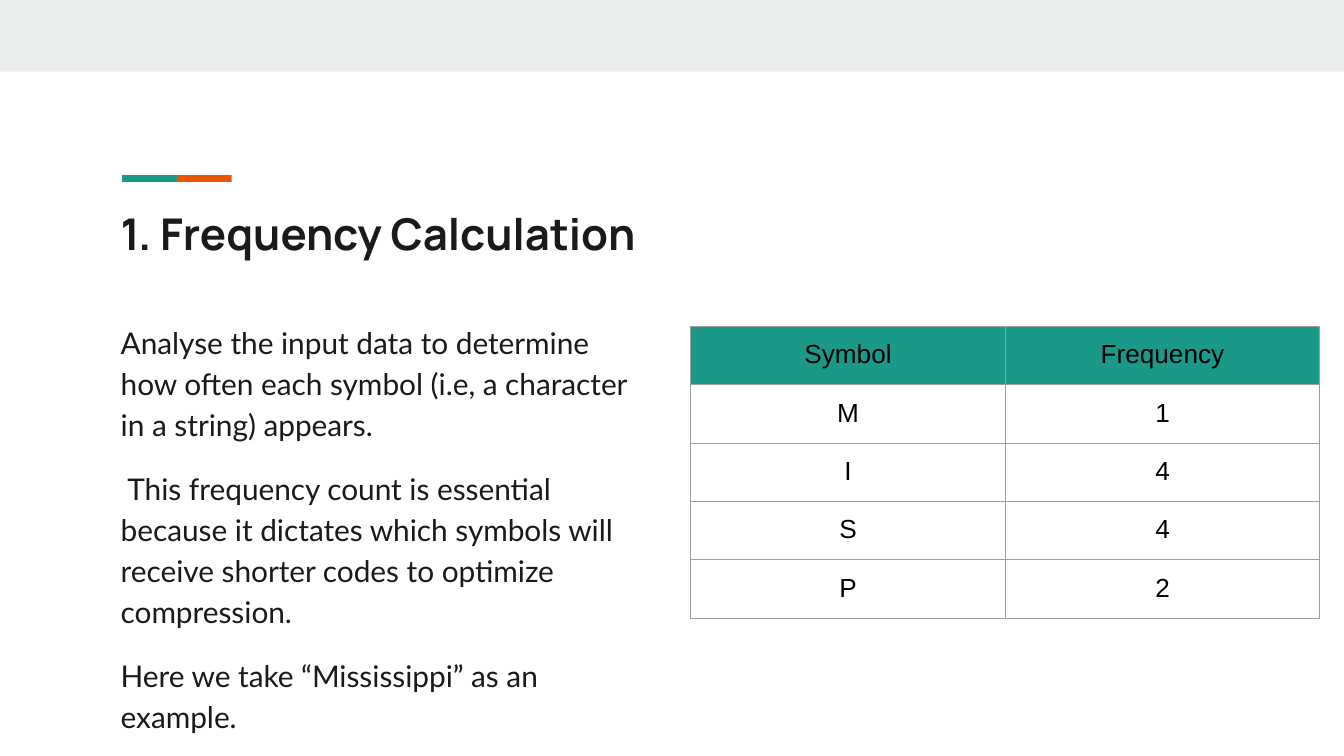
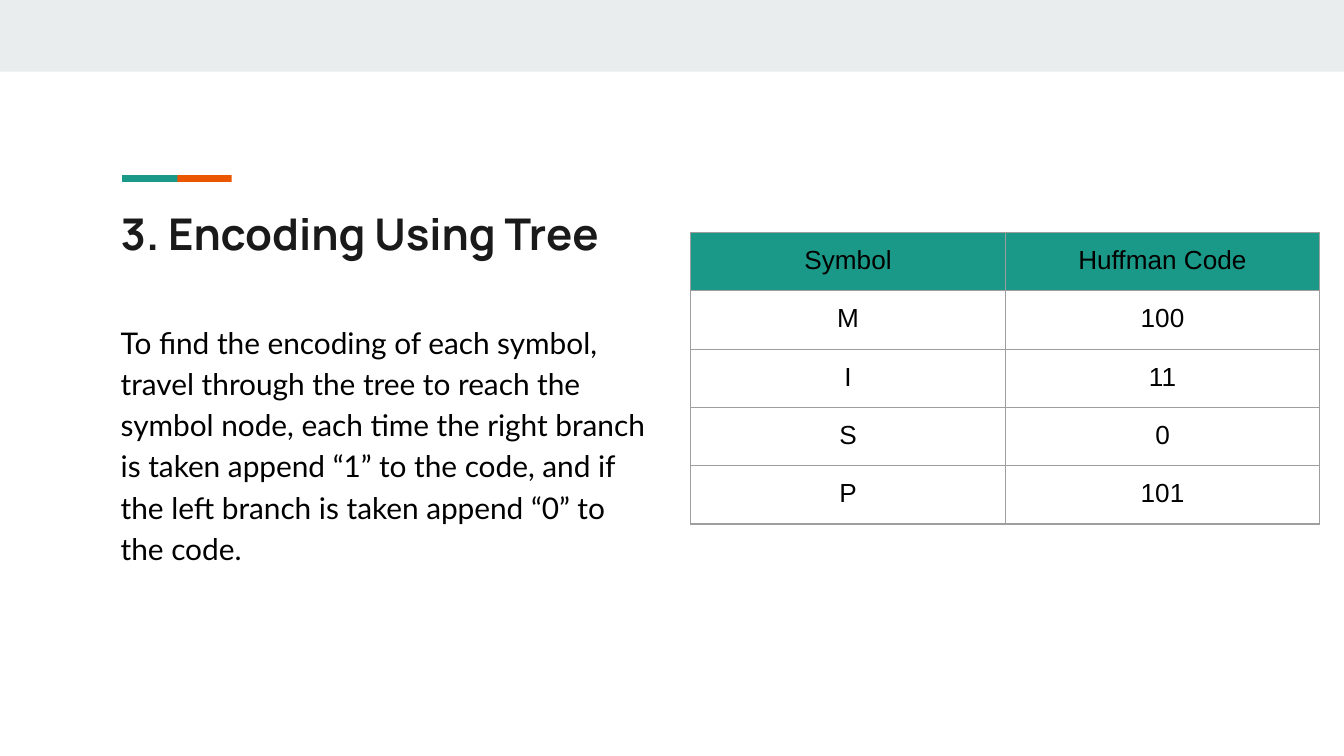
from dataclasses import dataclass

from lxml.etree import SubElement
from pptx import Presentation
from pptx.dml.color import RGBColor
from pptx.enum.shapes import MSO_SHAPE
from pptx.enum.text import MSO_ANCHOR, PP_ALIGN
from pptx.oxml.ns import qn
from pptx.util import Inches, Pt

# The slide is a grid of square cells, a tenth of an inch wide.
COLUMNS, ROWS = 100, 56.25
MARGIN = 8
TABLE_LEFT = 51.4
TABLE_COLUMN, TABLE_ROW = 23.4, 4.18
ACCENT_WIDTH, ACCENT_THICKNESS, ACCENT_BAR = 11.64, 0.28, 5.87


@dataclass(frozen=True)
class Theme:
    band: str = "E9EDEE"
    teal: str = "1A9988"
    orange: str = "EB5600"
    ink: str = "1A1A1A"
    black: str = "000000"
    border: str = "9E9E9E"
    title_font: str = "Manrope"
    body_font: str = "Lato"
    table_font: str = "Arial"
    title_size: float = 23.4
    body_size: float = 16
    table_size: float = 14
    border_width: float = 0.75


THEME = Theme()


def cells(count):
    return Inches(count / 10)


def box(left, top, width, height):
    return [cells(count) for count in (left, top, width, height)]


def style_paragraph(paragraph, font_name, size, color, bold=False):
    for run in paragraph.runs:
        run.font.name = font_name
        run.font.size = Pt(size)
        run.font.bold = bold
        run.font.color.rgb = RGBColor.from_string(color)


def add_bar(shapes, color, *place):
    bar = shapes.add_shape(MSO_SHAPE.RECTANGLE, *box(*place))
    bar.shadow.inherit = False
    bar.fill.solid()
    bar.fill.fore_color.rgb = RGBColor.from_string(color)
    bar.line.fill.background()
    return bar


def add_accent(slide):
    """Group two upright bars, turned flat, and scale the group into place."""
    group = slide.shapes.add_group_shape()
    centers = (ACCENT_WIDTH - ACCENT_BAR / 2, ACCENT_BAR / 2)
    for color, center in zip((THEME.orange, THEME.teal), centers):
        bar = add_bar(group.shapes, color, center - ACCENT_THICKNESS / 2,
                      (ACCENT_THICKNESS - ACCENT_BAR) / 2,
                      ACCENT_THICKNESS, ACCENT_BAR)
        bar.rotation = 270
    group.left, group.top, group.width, group.height = box(9.08, 13.03, 8.16, 0.5)
    transform = group._element.grpSpPr.find(qn("a:xfrm"))
    child_offset = transform.find(qn("a:chOff"))
    child_extent = transform.find(qn("a:chExt"))
    child_offset.set("x", "0")
    child_offset.set("y", "0")
    child_extent.set("cx", str(cells(ACCENT_WIDTH)))
    child_extent.set("cy", str(cells(ACCENT_THICKNESS)))


def add_text_frame(slide, *place):
    text_frame = slide.shapes.add_textbox(*box(*place)).text_frame
    text_frame.word_wrap = True
    text_frame.margin_left = text_frame.margin_right = cells(1)
    text_frame.margin_top = text_frame.margin_bottom = cells(1)
    return text_frame


def add_title(slide, title):
    text_frame = add_text_frame(slide, MARGIN, 14.4, 84.1, 5.9)
    text_frame.text = title
    style_paragraph(text_frame.paragraphs[0], THEME.title_font,
                    THEME.title_size, THEME.ink, bold=True)


def add_body(slide, texts, color):
    text_frame = add_text_frame(slide, MARGIN, 22.75, 41.3, 24.7)
    text_frame.text = "\n".join(texts)
    for paragraph in text_frame.paragraphs:
        paragraph.line_spacing = 1.15
        style_paragraph(paragraph, THEME.body_font, THEME.body_size, color)
    for paragraph in text_frame.paragraphs[1:]:
        paragraph.space_before = Pt(12)
    text_frame.paragraphs[-1].space_after = Pt(12)


def add_borders(cell):
    properties = cell._tc.get_or_add_tcPr()
    for side in ("a:lnL", "a:lnR", "a:lnT", "a:lnB"):
        line = SubElement(properties, qn(side), w=str(Pt(THEME.border_width)))
        fill = SubElement(line, qn("a:solidFill"))
        SubElement(fill, qn("a:srgbClr"), val=THEME.border)


def style_cell(cell, is_header):
    cell.margin_left = cell.margin_right = cells(1)
    cell.margin_top = cell.margin_bottom = cells(1)
    cell.vertical_anchor = MSO_ANCHOR.TOP
    add_borders(cell)
    if is_header:
        cell.fill.solid()
        cell.fill.fore_color.rgb = RGBColor.from_string(THEME.teal)
    else:
        cell.fill.background()
    paragraph = cell.text_frame.paragraphs[0]
    paragraph.alignment = PP_ALIGN.CENTER
    style_paragraph(paragraph, THEME.table_font, THEME.table_size, THEME.black)


def add_symbol_table(slide, top, heading, values):
    """Pair each symbol with its value, under a filled header row."""
    records = [("Symbol", heading), *zip("MISP", values)]
    place = box(TABLE_LEFT, top, 2 * TABLE_COLUMN, len(records) * TABLE_ROW)
    table = slide.shapes.add_table(len(records), 2, *place).table
    table.first_row = table.horz_banding = False
    for row_index, record in enumerate(records):
        for column_index, text in enumerate(record):
            cell = table.cell(row_index, column_index)
            cell.text = text
            style_cell(cell, is_header=row_index == 0)


def add_content_slide(presentation, title, texts, text_color):
    """Add a slide with the shared band, accent line, title and body."""
    slide = presentation.slides.add_slide(presentation.slide_layouts[6])
    add_bar(slide.shapes, THEME.band, 0, 0, COLUMNS, 5.33)
    add_accent(slide)
    add_title(slide, title)
    add_body(slide, texts, text_color)
    return slide


def main():
    presentation = Presentation()
    presentation.slide_width = cells(COLUMNS)
    presentation.slide_height = cells(ROWS)

    frequency_slide = add_content_slide(presentation, "1. Frequency Calculation", [
        "Analyse the input data to determine how often each symbol "
        "(i.e, a character in a string) appears.",
        " This frequency count is essential because it dictates which symbols "
        "will receive shorter codes to optimize compression.",
        "Here we take “Mississippi” as an example.",
    ], THEME.ink)
    add_symbol_table(frequency_slide, 24.3, "Frequency", ["1", "4", "4", "2"])

    encoding_slide = add_content_slide(presentation, "3. Encoding Using Tree", [
        "To find the encoding of each symbol, travel through the tree to reach "
        "the symbol node, each time the right branch is taken append “1” to the "
        "code, and if the left branch is taken append “0” to the code.",
    ], THEME.black)
    add_symbol_table(encoding_slide, 17.3, "Huffman Code", ["100", "11", "0", "101"])

    presentation.save("out.pptx")


if __name__ == "__main__":
    main()
